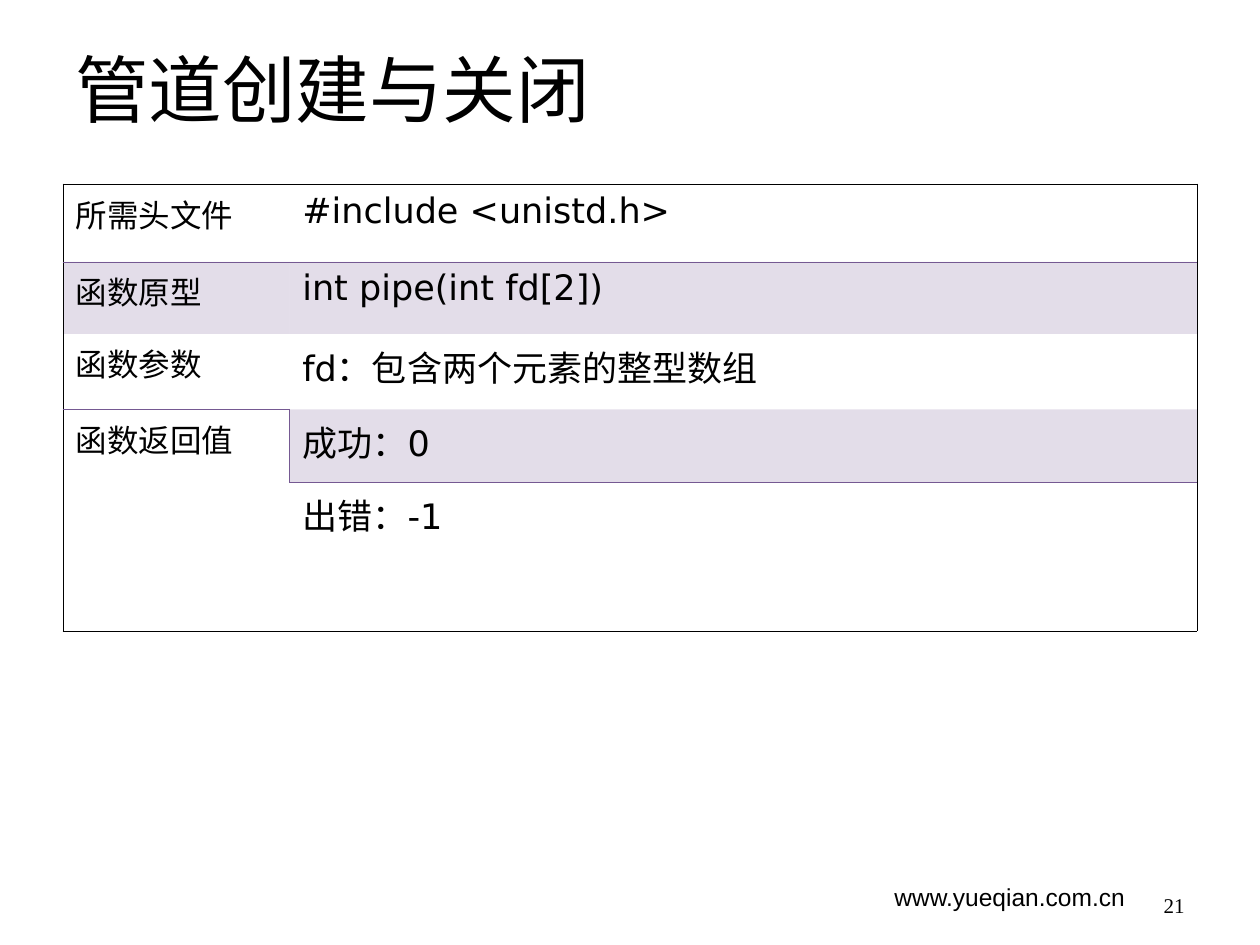
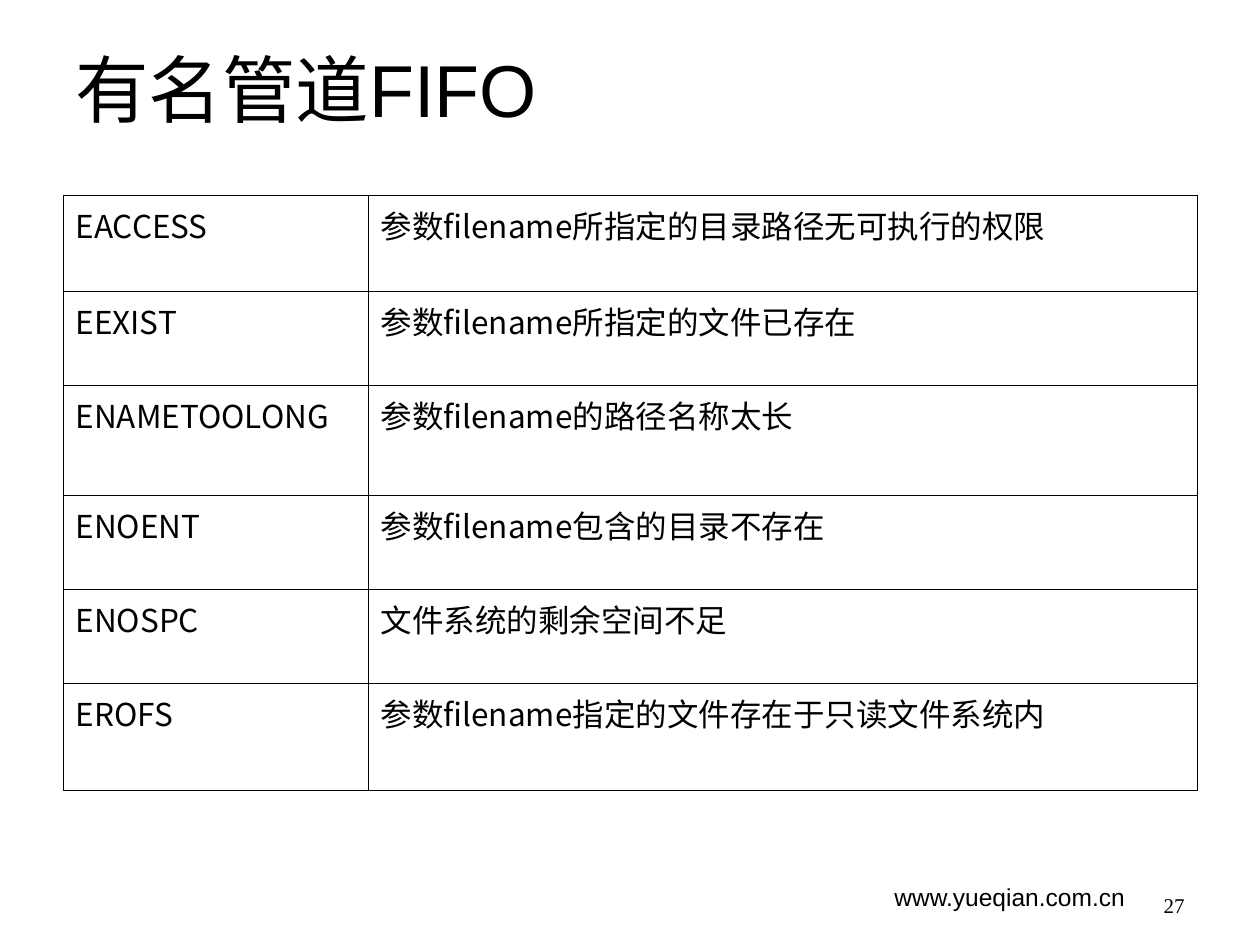
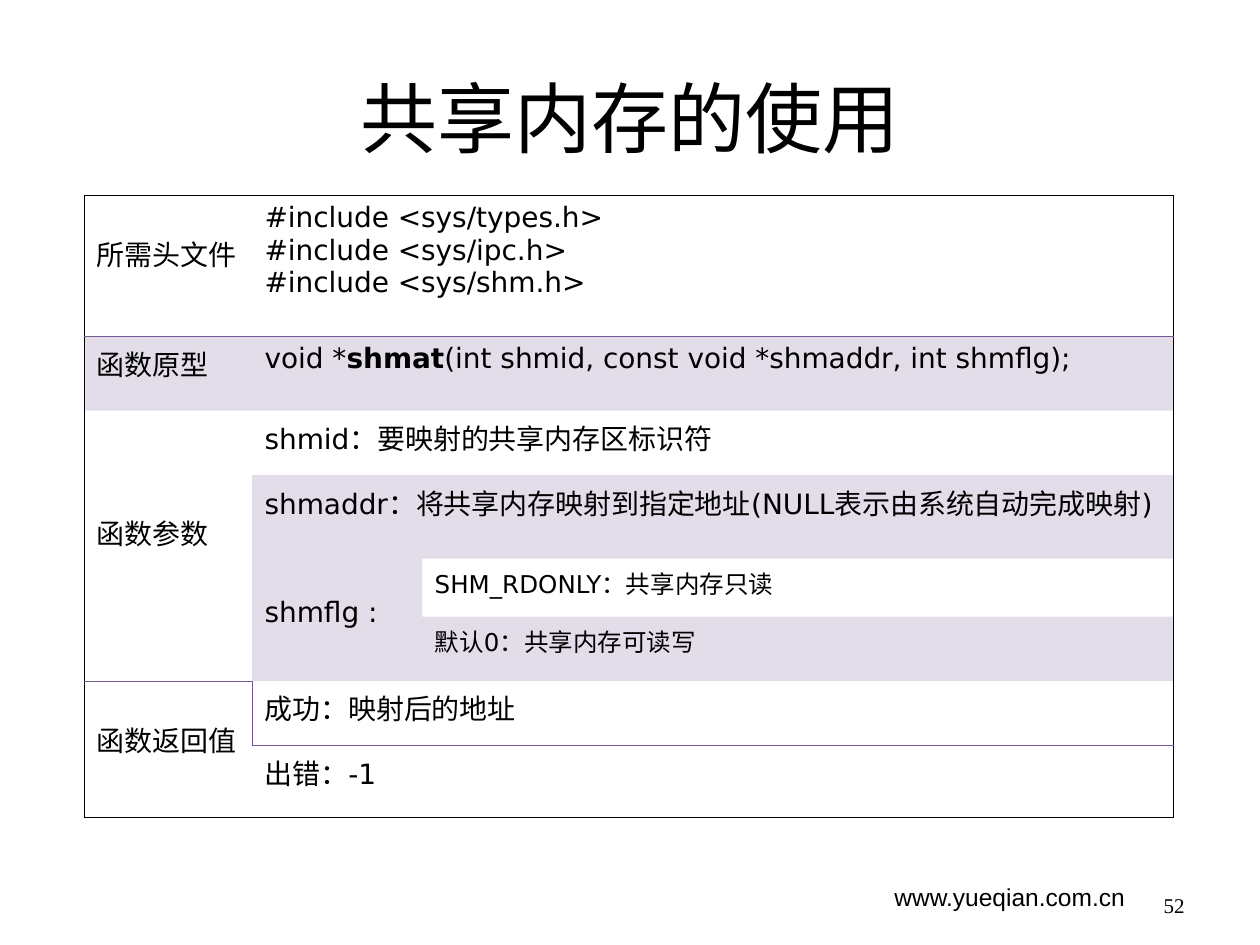
import pptx
import pptx.util
import pptx.dml.color
import pptx.enum.shapes
import pptx.enum.text
import pptx.oxml
import pptx.oxml.ns
import lxml.etree

Cm, Pt = pptx.util.Cm, pptx.util.Pt
RGB = pptx.dml.color.RGBColor
ALIGN = pptx.enum.text.PP_ALIGN
ANCHOR = pptx.enum.text.MSO_ANCHOR
qn = pptx.oxml.ns.qn

BLACK = RGB(0x00, 0x00, 0x00)
PURPLE = RGB(0x75, 0x59, 0x92)
SANS, CODE, HAN, SERIF = "Arial", "DejaVu Sans", "Noto Sans CJK SC", "Times New Roman"
LINE = Cm(0.64)     # height of one skipped label line
HANG = Cm(0.76)


class Deck:
    def __init__(self):
        self.prs = pptx.Presentation()
        self.prs.slide_width, self.prs.slide_height = Cm(25.4), Cm(19.05)

    def page(self, title, number, size=42, align=ALIGN.LEFT, anchor=ANCHOR.TOP):
        """Start a slide with its title, web address and number."""
        self.slide = self.prs.slides.add_slide(self.prs.slide_layouts[6])
        self.text((17.78, 17.65, 6.35, 1.02), "www.yueqian.com.cn", 14)
        self.text((1.27, 0.76, 22.86, 3.18), title, size, SANS, align, anchor)
        self.text((18.21, 17.35, 5.92, 1.27), number, 12, SERIF,
                  ALIGN.RIGHT, ANCHOR.BOTTOM)

    def run(self, para, words, size, font, bold=False):
        run = para.add_run()
        run.text = words
        run.font.size, run.font.name, run.font.bold = Pt(size), font, bold
        run.font.color.rgb = BLACK
        east = lxml.etree.SubElement(run.font._element, qn("a:ea"))
        east.set("typeface", HAN)

    def text(self, box, words, size, font=SANS, align=ALIGN.LEFT, anchor=ANCHOR.TOP):
        frame = self.slide.shapes.add_textbox(*map(Cm, box)).text_frame
        frame.word_wrap = True
        frame.vertical_anchor = anchor
        para = frame.paragraphs[0]
        para.alignment = align
        self.run(para, words, size, font)

    def dot(self, x, y):
        line = self.slide.shapes.add_connector(
            pptx.enum.shapes.MSO_CONNECTOR.STRAIGHT, Cm(x), Cm(y), Cm(x), Cm(y))
        line.line.color.rgb, line.line.width = BLACK, Pt(1)
        lxml.etree.SubElement(line._element.spPr, qn("a:effectLst"))

    def edge(self, cell, sides):
        """Draw the sides that have a colour and clear the others."""
        props = cell._tc.get_or_add_tcPr()
        for side in "LRTB":
            line = lxml.etree.SubElement(props, qn("a:ln" + side), w=str(Pt(0.45)))
            if side in sides:
                fill = lxml.etree.SubElement(line, qn("a:solidFill"))
                lxml.etree.SubElement(fill, qn("a:srgbClr"), val=str(sides[side]))
            else:
                lxml.etree.SubElement(line, qn("a:noFill"))

    def fill(self, cell, band):
        if not band:
            cell.fill.background()
            return
        cell.fill.solid()
        cell.fill.fore_color.rgb = PURPLE
        tint = cell._tc.tcPr.find(".//" + qn("a:solidFill") + "/" + qn("a:srgbClr"))
        for node in cell._tc.tcPr.findall(qn("a:solidFill")):
            tint = node[0]
        lxml.etree.SubElement(tint, qn("a:alpha"), val="20000")

    def words(self, cell, words, size, font, hang):
        """Lines part at a line break; every second piece between bars is bold."""
        frame = cell.text_frame
        for i, line in enumerate(words.split("\n")):
            para = frame.add_paragraph() if i else frame.paragraphs[0]
            if hang:
                props = para._p.get_or_add_pPr()
                props.set("marL", str(HANG))
                props.set("indent", str(-HANG))
            for k, piece in enumerate(line.split("|")):
                self.run(para, piece, size, font, k % 2 == 1)

    def table(self, spot, cols, rows, cells, sizes, font=CODE, hang=True,
              spans=(), bands=(), drops=(), grid=False):
        spans, drops = dict(spans), dict(drops)
        table = self.slide.shapes.add_table(
            len(rows), len(cols), *map(Cm, (*spot, sum(cols), sum(rows)))).table
        table.first_row = table.horz_banding = False
        for col, wide in zip(table.columns, cols):
            col.width = Cm(wide)
        for row, high in zip(table.rows, rows):
            row.height = Cm(high)
        for (r, c), (down, across) in spans.items():
            table.cell(r, c).merge(table.cell(r + down - 1, c + across - 1))

        end, last = len(rows) - 1, len(cols) - 1
        for r, line in enumerate(cells):
            for c, words in enumerate(line):
                cell = table.cell(r, c)
                down, across = spans.get((r, c), (1, 1))
                low, right = r + down - 1, c + across - 1
                # Purple rules: below the header, and around the result rows
                sides = {}
                if not grid:
                    rules = {"T": r == 1 or (r, c) == (end - 1, 0) or (r == end and c),
                             "B": r == 0 or (low == end - 2 and c == 0)
                             or (r == end - 1 and c),
                             "L": (r, c) == (end - 1, 1),
                             "R": (r, c) == (end - 1, 0)}
                    sides = {side: PURPLE for side, on in rules.items() if on}
                # Black frame
                outer = {"L": c == 0, "R": right == last, "T": r == 0, "B": low == end}
                sides.update({s: BLACK for s, on in outer.items() if on or grid})
                self.edge(cell, sides)
                self.fill(cell, (r, c) in bands)
                cell.margin_top = Cm(0.13) + drops.get((r, c), 0) * LINE
                if words:
                    self.words(cell, words, sizes[c], font, hang)


def main():
    deck = Deck()

    # Creating and closing a pipe
    deck.page("管道创建与关闭", "21")
    deck.table(
        (1.27, 3.71), (4.57, 18.29), (1.57, 1.45, 1.52, 1.47, 3.0),
        [("所需头文件", "#include <unistd.h>"),
         ("函数原型", "int pipe(int fd[2])"),
         ("函数参数", "fd：包含两个元素的整型数组"),
         ("函数返回值", "成功：0"),
         (None, "出错：-1")],
        (18, 20), spans={(3, 0): (2, 1)}, bands={(1, 0), (1, 1), (3, 1)})

    # Errors of a named pipe
    deck.page("有名管道FIFO", "27")
    deck.table(
        (1.27, 3.94), (6.15, 16.71), (1.93, 1.9, 2.21, 1.9, 1.9, 2.16),
        [("EACCESS", "参数filename所指定的目录路径无可执行的权限"),
         ("EEXIST", "参数filename所指定的文件已存在"),
         ("ENAMETOOLONG", "参数filename的路径名称太长"),
         ("ENOENT", "参数filename包含的目录不存在"),
         ("ENOSPC", "文件系统的剩余空间不足"),
         ("EROFS", "参数filename指定的文件存在于只读文件系统内")],
        (18, 18), font=HAN, grid=True)

    # Using shared memory
    deck.page("共享内存的使用", "52", 44, ALIGN.CENTER, ANCHOR.MIDDLE)
    for y in (8.59, 10.64):
        deck.dot(9.4, y)
    wide = {(r, 1): (1, 2) for r in (0, 1, 2, 3, 6, 7)}
    deck.table(
        (1.7, 3.94), (3.38, 3.43, 15.14),
        (2.84, 1.5, 1.3, 1.68, 1.17, 1.3, 1.3, 1.45),
        [("所需头文件",
          "#include <sys/types.h>\n#include <sys/ipc.h>\n#include <sys/shm.h>", None),
         ("函数原型",
          "void *|shmat|(int shmid, const void *shmaddr, int shmflg);", None),
         ("函数参数", "shmid：要映射的共享内存区标识符", None),
         (None, "shmaddr：将共享内存映射到指定地址(NULL表示由系统自动完成映射)", None),
         (None, "shmflg :", "SHM_RDONLY：共享内存只读"),
         (None, None, "默认0：共享内存可读写"),
         ("函数返回值", "成功：映射后的地址", None),
         (None, "出错：-1", None)],
        (16, 16, 14), hang=False,
        spans={**wide, (2, 0): (4, 1), (4, 1): (2, 1), (6, 0): (2, 1)},
        bands={(1, 0), (1, 1), (3, 1), (4, 1), (5, 2)},
        drops={(0, 0): 1, (2, 0): 3, (4, 1): 1, (6, 0): 1})

    deck.prs.save("out.pptx")


if __name__ == "__main__":
    main()
